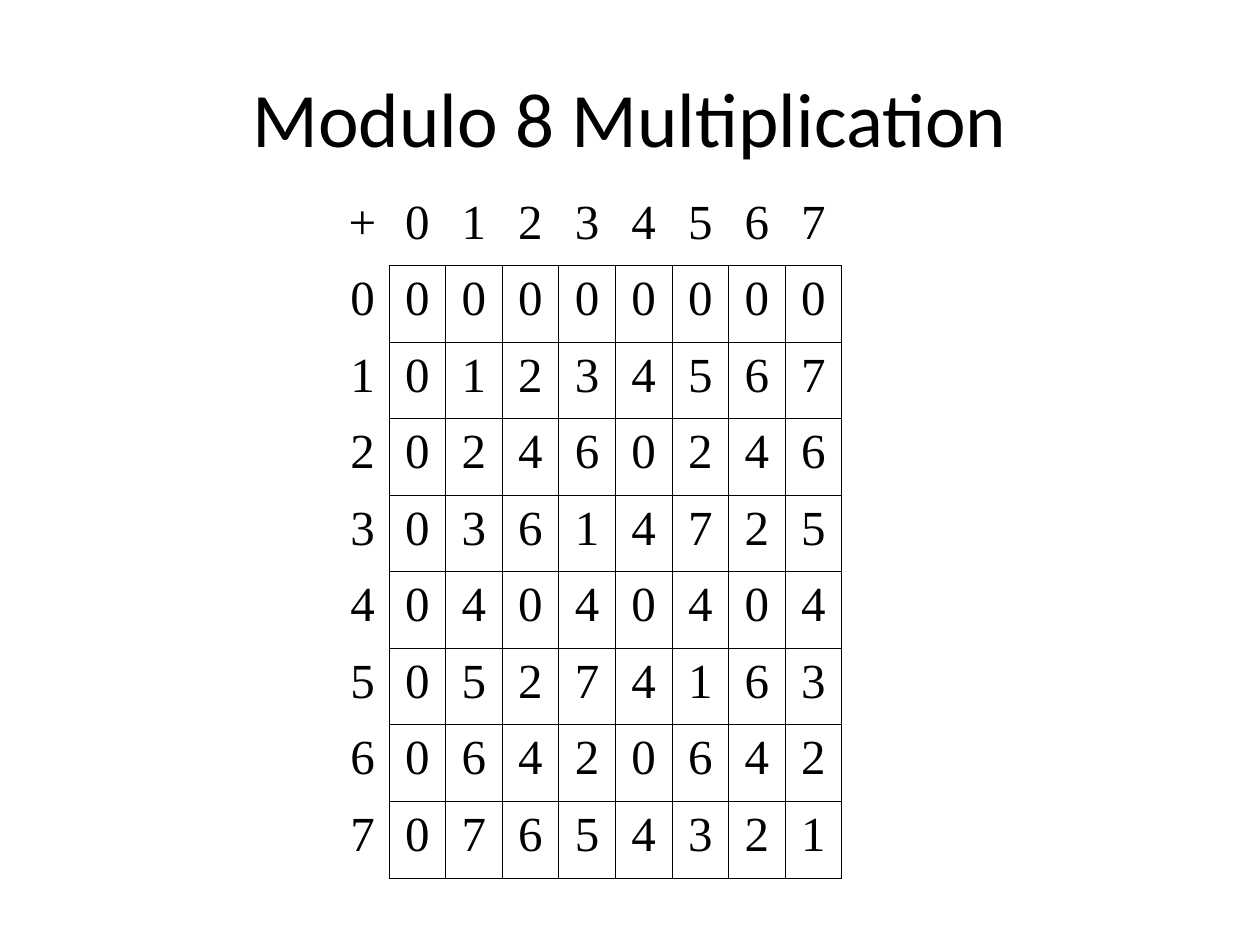
from lxml.etree import SubElement
from pptx import Presentation
from pptx.dml.color import RGBColor
from pptx.enum.text import MSO_ANCHOR, PP_ALIGN
from pptx.oxml.ns import qn
from pptx.util import Pt

# Content
TITLE = "Modulo 8 Multiplication"
CORNER = "+"
MOD = 8
digits = range(MOD)
rows = [[CORNER, *digits]]
rows += [[a, *(a * b % MOD for b in digits)] for a in digits]

# Look and layout, in px
BLACK = RGBColor(0, 0, 0)
PX = 914400 // 126
SLIDE = (1260, 945)
HEAD = (63, 38, 1134, 157)
LEFT, TOP, HIGH = 336, 189, 689
LABEL, GRID = 53, 453
LINE = Pt(0.45)


def emu(px):
    return round(px * PX)


def write(frame, text, font, size):
    par = frame.paragraphs[0]
    par.alignment = PP_ALIGN.CENTER
    run = par.add_run()
    run.text = str(text)
    run.font.name = font
    run.font.size = Pt(size)
    run.font.color.rgb = BLACK
    return par


def border(cell, side, drawn):
    line = SubElement(cell._tc.get_or_add_tcPr(), qn(f"a:ln{side}"))
    line.set("w", str(LINE if drawn else 0))
    if drawn:
        fill = SubElement(line, qn("a:solidFill"))
        SubElement(fill, qn("a:srgbClr")).set("val", str(BLACK))
    else:
        SubElement(line, qn("a:noFill"))


prs = Presentation()
prs.slide_width, prs.slide_height = map(emu, SLIDE)
slide = prs.slides.add_slide(prs.slide_layouts[5])

# Title
title = slide.shapes.title
title.left, title.top, title.width, title.height = map(emu, HEAD)
title.text_frame.vertical_anchor = MSO_ANCHOR.MIDDLE
write(title.text_frame, TITLE, "Calibri", 44)

# Multiplication table
count = len(rows)
box = map(emu, (LEFT, TOP, LABEL + GRID, HIGH))
table = slide.shapes.add_table(count, count, *box).table
table.first_row = table.horz_banding = False
for i in range(count):
    table.rows[i].height = emu(HIGH / count)
    table.columns[i].width = emu(GRID / MOD if i else LABEL)

# Cells, with lines only around the products
for r, row in enumerate(rows):
    for c, value in enumerate(row):
        cell = table.cell(r, c)
        inner = r > 0 and c > 0
        border(cell, "L", inner)
        border(cell, "R", r > 0)
        border(cell, "T", inner)
        border(cell, "B", c > 0)
        cell.fill.background()
        par = write(cell.text_frame, value, "Times New Roman", 28)
        par.space_after = Pt(3)

prs.save("out.pptx")
